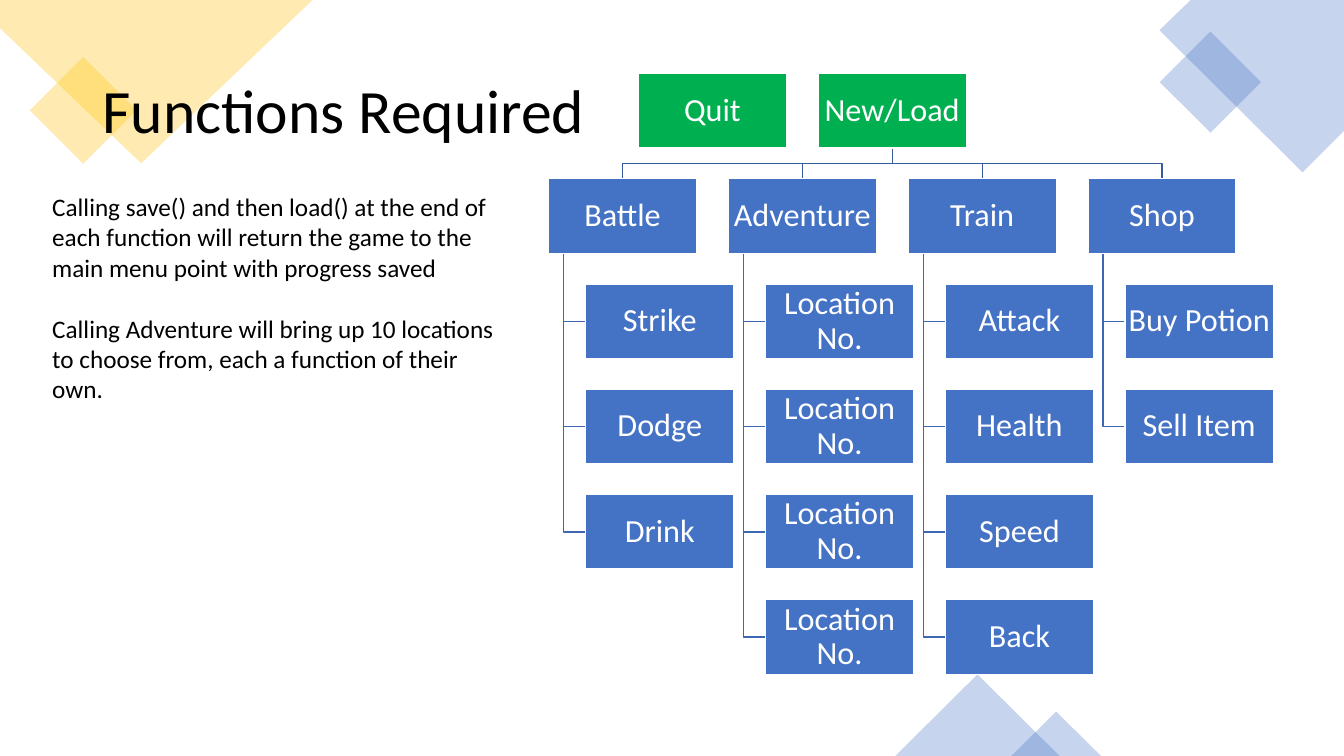
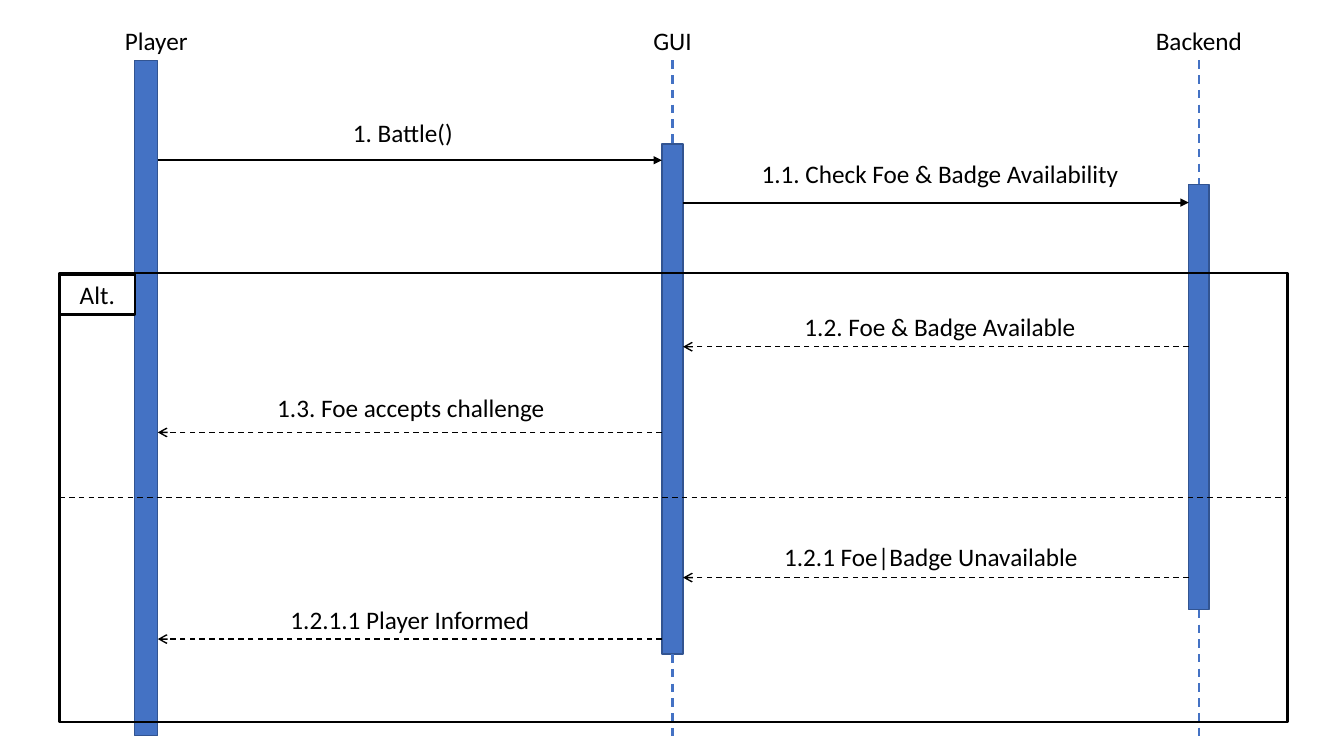
from pptx import Presentation
from pptx.dml.color import RGBColor
from pptx.enum.dml import MSO_LINE as Dash
from pptx.enum.shapes import MSO_CONNECTOR as Conn, MSO_SHAPE as Kind
from pptx.enum.text import MSO_ANCHOR as Anchor, PP_ALIGN as Align
from pptx.oxml.ns import qn
from pptx.util import Inches, Pt
from lxml.etree import SubElement

BLUE = RGBColor(0x44, 0x72, 0xC4)
EDGE = RGBColor(0x32, 0x54, 0x91)
TRUNK = RGBColor(0x36, 0x5B, 0x9D)
TWIG = RGBColor(0x3E, 0x67, 0xB2)
GREEN = RGBColor(0x00, 0xB0, 0x50)
GOLD = RGBColor(0xFF, 0xC0, 0x00)
BLACK = RGBColor(0, 0, 0)
WHITE = RGBColor(255, 255, 255)
FONT = "Calibri"


# Shared parts
def paint(shape, fill=None, line=None, width=1, alpha=None):
    shape.shadow.inherit = False
    if fill is None:
        shape.fill.background()
    else:
        shape.fill.solid()
        shape.fill.fore_color.rgb = fill
    if alpha:
        tint = shape.element.spPr.find(qn("a:solidFill"))[0]
        SubElement(tint, qn("a:alpha")).set("val", str(alpha * 1000))
    if line is None:
        shape.line.fill.background()
    else:
        shape.line.color.rgb = line
        shape.line.width = Pt(width)
    return shape


def block(slide, box, kind=Kind.RECTANGLE, **look):
    shape = slide.shapes.add_shape(kind, *map(Inches, box))
    return paint(shape, **look)


def outline(slide, points, closed, **look):
    dots = [(Inches(x), Inches(y)) for x, y in points]
    form = slide.shapes.build_freeform(*dots[0])
    form.add_line_segments(dots[1:], close=closed)
    return paint(form.convert_to_shape(), **look)


def rule(slide, start, end, color, width, dash=False, tip=None):
    line = slide.shapes.add_connector(
        Conn.STRAIGHT, *map(Inches, (*start, *end)))
    line.line.color.rgb = color
    line.line.width = Pt(width)
    if dash:
        line.line.dash_style = Dash.DASH
    frame = line.element.spPr
    if tip:
        SubElement(frame.find(qn("a:ln")), qn("a:tailEnd")).set("type", tip)
    SubElement(frame, qn("a:effectLst"))


def write(shape, paras, size=18, color=BLACK, align=Align.CENTER,
          anchor=Anchor.TOP, inset=None, leading=None, gap=0):
    frame = shape.text_frame
    frame.word_wrap = True
    frame.vertical_anchor = anchor
    if inset is not None:
        frame.margin_left = frame.margin_right = Inches(inset)
        frame.margin_top = frame.margin_bottom = Inches(inset)
    for i, text in enumerate(paras):
        para = frame.add_paragraph() if i else frame.paragraphs[0]
        para.text = text
        para.alignment = align
        para.font.name, para.font.size = FONT, Pt(size)
        para.font.color.rgb = color
        if leading:
            para.line_spacing = leading
        if i:
            para.space_before = Pt(gap)


def label(slide, box, *paras, **style):
    write(slide.shapes.add_textbox(*map(Inches, box)), paras, **style)


# Slide 1: corner ornaments
def corners(slide):
    gold, blue = dict(fill=GOLD, alpha=30), dict(fill=BLUE, alpha=30)
    block(slide, (0.45, 0.72, 0.75, 0.75), **gold).rotation = 45
    outline(slide, [(0, 0), (3.1, 0), (1.4, 1.62), (0, 0.28)], True, **gold)
    outline(slide, [(11.81, 0), (13.33, 0), (13.33, 1.3), (12.92, 1.71),
                    (11.5, 0.3)], True, **blue)
    block(slide, (11.65, 0.46, 0.71, 0.71), **blue).rotation = 45
    for box in ((8.88, 6.69, 1.63, 0.81), (10.03, 7.06, 0.89, 0.44)):
        block(slide, box, Kind.ISOSCELES_TRIANGLE, **blue)


# Slide 1: menu tree
ROOTS = ["Quit", "New/Load"]
MENU = {
    "Battle": ["Strike", "Dodge", "Drink"],
    "Adventure": ["Location No."] * 4,
    "Train": ["Attack", "Health", "Speed", "Back"],
    "Shop": ["Buy Potion", "Sell Item"],
}


def tree(slide, box):
    left, top, wide, high = box
    node_w, node_h, indent, stem = 1.47, 0.74, 0.37, 0.15
    step_x = (wide - indent - node_w) / (len(MENU) - 1)
    step_y = (high - node_h) / (1 + max(map(len, MENU.values())))

    def node(text, x, y, fill=BLUE):
        shape = block(slide, (x, y, node_w, node_h), fill=fill, line=WHITE)
        write(shape, [text], size=23, color=WHITE, anchor=Anchor.MIDDLE,
              inset=0.02, leading=0.9)

    # Branches go below the nodes
    root = left + 1.5 * step_x + node_w / 2
    base, head = top + node_h, top + step_y
    fork = (base + head) / 2
    for col, kids in enumerate(MENU.values()):
        x = left + col * step_x
        mid = x + node_w / 2
        outline(slide, [(root, base), (root, fork), (mid, fork), (mid, head)],
                False, line=TRUNK)
        for row in range(2, len(kids) + 2):
            y = top + row * step_y + node_h / 2
            outline(slide, [(x + stem, head + node_h), (x + stem, y),
                            (x + indent, y)], False, line=TWIG)

    for i, text in enumerate(ROOTS):
        node(text, left + (i + 0.5) * step_x, top, GREEN)
    for col, (name, kids) in enumerate(MENU.items()):
        x = left + col * step_x
        node(name, x, head)
        for row, kid in enumerate(kids, 2):
            node(kid, x + indent, top + row * step_y)


def functions(slide):
    corners(slide)
    tree(slide, (5.44, 0.73, 7.19, 5.96))
    label(slide, (0.92, 0.4, 11.5, 1.45), "Functions Required", size=44,
          align=Align.LEFT, anchor=Anchor.MIDDLE, leading=0.9)
    label(slide, (0.42, 1.85, 4.73, 2.22),
          "Calling save() and then load() at the end of each function will "
          "return the game to the main menu point with progress saved",
          "Calling Adventure will bring up 10 locations to choose from, "
          "each a function of their own.", align=Align.LEFT, gap=22)


# Slide 2: name, shift of name, bar width, bar top and bottom
ACTORS = [
    ("Player", 0.1, 0.23, 0.6, 7.3),
    ("GUI", 0, 0.21, 1.43, 6.49),
    ("Backend", 0, 0.2, 1.83, 6.05),
]
# Text, sender, receiver, height of arrow, lift and shift of text
CALLS = [
    ("1. Battle()", 0, 1, 1.59, 0.48, -0.07),
    ("1.1. Check Foe & Badge Availability", 1, 2, 2.01, 0.49, 0.04),
    ("1.2. Foe & Badge Available", 2, 1, 3.44, 0.4, 0.04),
    ("1.3. Foe accepts challenge", 1, 0, 4.29, 0.45, 0.01),
    ("1.2.1 Foe|Badge Unavailable", 2, 1, 5.73, 0.41, -0.05),
    ("1.2.1.1 Player Informed", 1, 0, 6.34, 0.39, 0),
]


def actors(slide, box):
    left, top, wide, high = box
    start, end = top + 0.4, top + high
    mids = [left + i * wide / (len(ACTORS) - 1) for i in range(len(ACTORS))]
    for mid, (name, shift, width, head, foot) in zip(mids, ACTORS):
        label(slide, (mid + shift - 0.6, top, 1.2, 0.4), name)
        block(slide, (mid - width / 2, head, width, foot - head),
              fill=BLUE, line=EDGE)
        for y1, y2 in ((start, head), (foot, end)):
            if y2 - y1 > 0.01:
                rule(slide, (mid, y1), (mid, y2), BLUE, 1.5, dash=True)
    return mids


def choice(slide, box):
    left, top, wide, high = box
    block(slide, box, line=BLACK, width=1.5)
    split = top + high / 2
    rule(slide, (left, split), (left + wide, split), BLACK, 1, dash=True)
    tag = block(slide, (left, top + 0.01, 0.75, 0.4), line=BLACK, width=2)
    write(tag, ["Alt."])


def calls(slide, mids):
    for text, src, dst, y, lift, shift in CALLS:
        side = 1 if dst > src else -1
        x1 = mids[src] + side * ACTORS[src][2] / 2
        x2 = mids[dst] - side * ACTORS[dst][2] / 2
        reply = side < 0
        rule(slide, (x1, y), (x2, y), BLACK, 1 if reply else 1.5,
             dash=reply, tip="arrow" if reply else "triangle")
        mid = (x1 + x2) / 2 + shift
        label(slide, (mid - 2.01, y - lift, 4.02, 0.41), text)


def sequence(slide):
    mids = actors(slide, (1.45, 0.2, 10.44, 7.1))
    choice(slide, (0.59, 2.71, 12.18, 4.45))
    calls(slide, mids)


deck = Presentation()
deck.slide_width, deck.slide_height = Inches(13.33), Inches(7.5)
for build in (functions, sequence):
    build(deck.slides.add_slide(deck.slide_layouts[6]))
deck.save("out.pptx")
